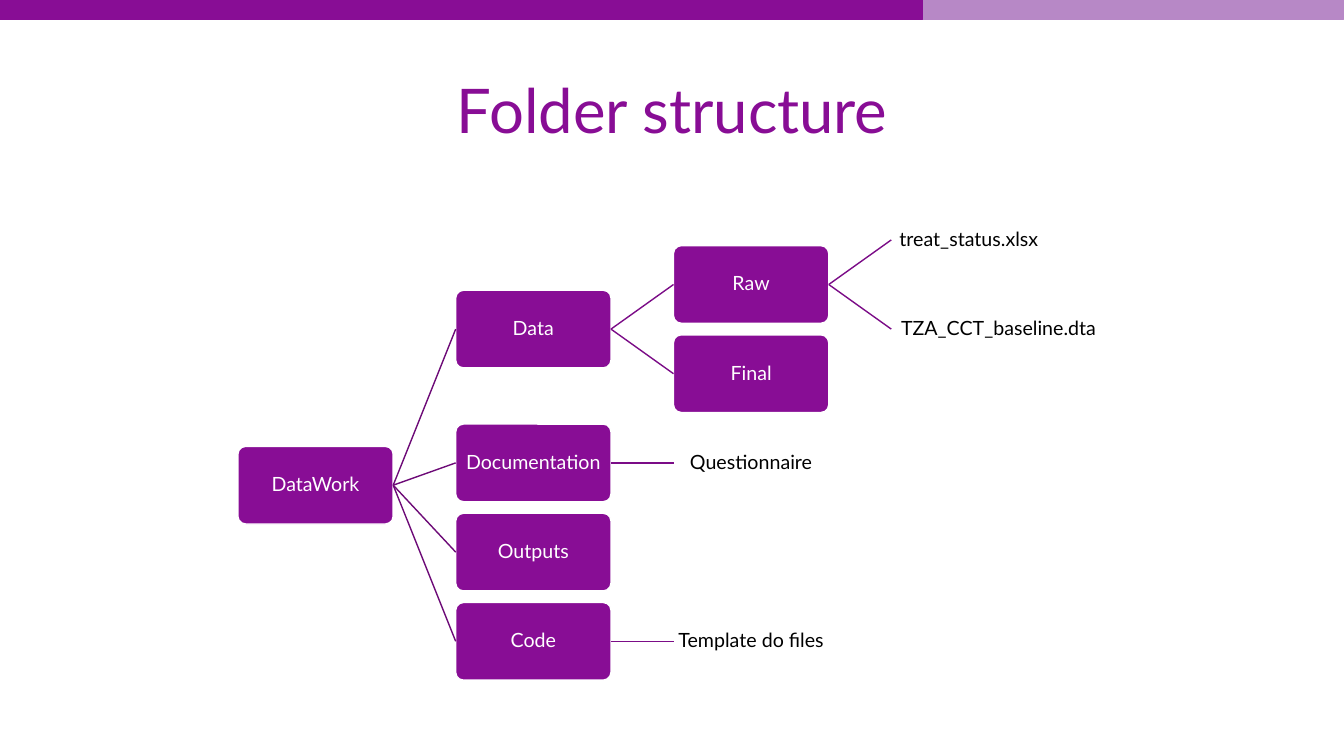
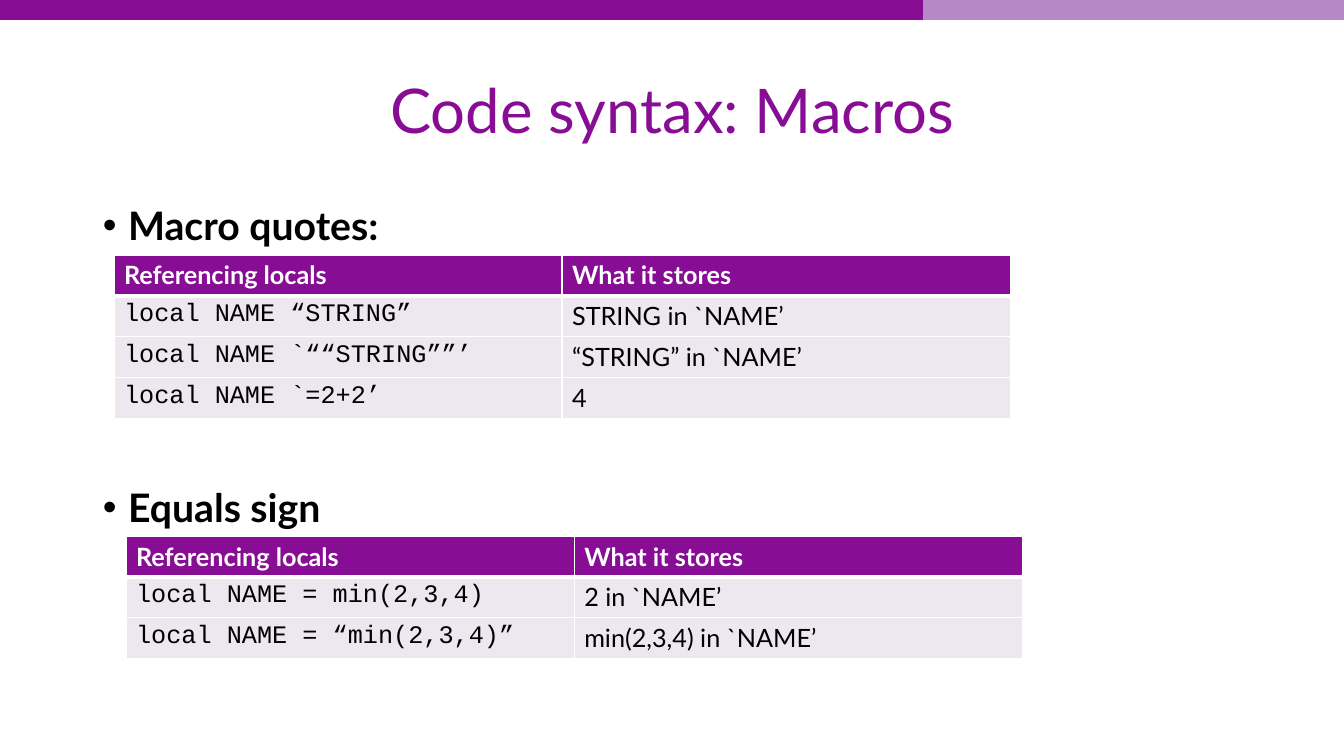
"""Build two slides: a folder tree and a pair of macro syntax tables."""
import lxml.etree
import pptx
import pptx.dml.color
import pptx.enum.shapes
import pptx.enum.text
import pptx.oxml.ns
import pptx.util

PX = 9144
COLORS = {
    "purple": "880D95", "lilac": "B788C6", "trunk": "6D0A77", "branch": "7B0C87",
    "row": "EDE7EF", "white": "FFFFFF", "black": "000000",
}
SANS, MONO = "Lato", "Courier New"
BANDS = [(915, 418, "lilac"), (0, 915, "purple")]
TITLE_BOX = (92, 40, 1150, 145)
BODY_BOX = (92, 200, 1150, 476)

TREE_TITLE = "Folder structure"
TREE_LEFT, TREE_TOP, COLUMN_STEP, ROW_STEP = 236, 238, 216, 44.25
NODE_W, NODE_H, WIDE_W = 154, 77, 213
FOLDERS = [
    ("DataWork", None, 0, 5.5),
    ("Data", "DataWork", 1, 2),
    ("Raw", "Data", 2, 1),
    ("Final", "Data", 2, 3),
    ("Documentation", "DataWork", 1, 5),
    ("Outputs", "DataWork", 1, 7),
    ("Code", "DataWork", 1, 9),
]
FILES = [
    ("treat_status.xlsx", "Raw", 3, 0, NODE_W),
    ("TZA_CCT_baseline.dta", "Raw", 3, 2, WIDE_W),
    ("Questionnaire", "Documentation", 2, 5, NODE_W),
    ("Template do files", "Code", 2, 9, NODE_W),
]

MACRO_TITLE = "Code syntax: Macros"
BULLETS = [("Macro quotes:", 0), ("Equals sign", 171)]
HEADER = ("Referencing locals", "What it stores")
TABLES = [
    ((113, 253, 889, 162), [
        ("local NAME “STRING”", "STRING in `NAME’"),
        ("local NAME `““STRING””’", "“STRING” in `NAME’"),
        ("local NAME `=2+2’", "4"),
    ]),
    ((125, 532, 889, 121), [
        ("local NAME = min(2,3,4)", "2 in `NAME’"),
        ("local NAME = “min(2,3,4)”", "min(2,3,4) in `NAME’"),
    ]),
]


def px(*values):
    return [pptx.util.Emu(round(v * PX)) for v in values]


def rgb(name):
    return pptx.dml.color.RGBColor.from_string(COLORS[name])


def sub(parent, tag, **attrs):
    return lxml.etree.SubElement(parent, pptx.oxml.ns.qn(tag), attrs)


def style(p, size, color, name=SANS, bold=False):
    p.font.size = pptx.util.Pt(size)
    p.font.name = name
    p.font.bold = bold
    p.font.color.rgb = rgb(color)


def place(sp, box):
    sp.left, sp.top, sp.width, sp.height = px(*box)
    sp.text_frame.auto_size = pptx.enum.text.MSO_AUTO_SIZE.NONE


def paint(sp, fill, line, width):
    sp.shadow.inherit = False
    sp.fill.solid()
    sp.fill.fore_color.rgb = rgb(fill)
    sp.line.color.rgb = rgb(line)
    sp.line.width = pptx.util.Pt(width)


def add_slide(prs, layout, title):
    s = prs.slides.add_slide(prs.slide_layouts[layout])
    for left, width, color in BANDS:
        sp = s.shapes.add_shape(pptx.enum.shapes.MSO_SHAPE.RECTANGLE, *px(left, -1, width, 20))
        paint(sp, color, color, 0.75)
    place(s.shapes.title, TITLE_BOX)
    tf = s.shapes.title.text_frame
    tf.text = title
    tf.vertical_anchor = pptx.enum.text.MSO_ANCHOR.MIDDLE
    p = tf.paragraphs[0]
    p.alignment = pptx.enum.text.PP_ALIGN.CENTER
    p.line_spacing = 0.9
    style(p, 44, "purple")
    return s


def label(sp, text, color):
    tf = sp.text_frame
    tf.word_wrap = True
    tf.vertical_anchor = pptx.enum.text.MSO_ANCHOR.MIDDLE
    tf.margin_left, tf.margin_top, tf.margin_right, tf.margin_bottom = px(1, 1, 1, 1)
    tf.text = text
    p = tf.paragraphs[0]
    p.alignment = pptx.enum.text.PP_ALIGN.CENTER
    p.line_spacing = 0.9
    style(p, 14, color)


def node_box(column, row, width=NODE_W):
    middle = TREE_TOP + row * ROW_STEP
    return px(TREE_LEFT + column * COLUMN_STEP, middle - NODE_H / 2, width, NODE_H)


def join(s, parent, child, color):
    cx = s.shapes.add_connector(pptx.enum.shapes.MSO_CONNECTOR.STRAIGHT, 0, 0, 0, 0)
    cx.begin_connect(parent, 3)
    cx.end_connect(child, 1)
    cx.line.color.rgb = rgb(color)
    cx.line.width = pptx.util.Pt(1)
    sub(cx._element.spPr, "a:effectLst")


def add_tree(s):
    nodes = {}
    for name, parent, column, row in FOLDERS:
        sp = s.shapes.add_shape(pptx.enum.shapes.MSO_SHAPE.ROUNDED_RECTANGLE, *node_box(column, row))
        sp.adjustments[0] = 0.1
        paint(sp, "purple", "white", 1)
        label(sp, name, "white")
        nodes[name] = sp
        if parent:
            join(s, nodes[parent], sp, "trunk" if column == 1 else "branch")
    for name, parent, column, row, width in FILES:
        sp = s.shapes.add_textbox(*node_box(column, row, width))
        label(sp, name, "black")
        join(s, nodes[parent], sp, "branch")


def add_bullets(s):
    body = s.placeholders[1]
    place(body, BODY_BOX)
    tf = body.text_frame
    tf.text = "\n".join(text for text, gap in BULLETS)
    for p, (text, gap) in zip(tf.paragraphs, BULLETS):
        pPr = p._p.get_or_add_pPr()
        pPr.set("marL", str(25 * PX))
        pPr.set("indent", str(-25 * PX))
        sub(pPr, "a:buFont", typeface="Arial")
        sub(pPr, "a:buChar", char="•")
        p.line_spacing = 0.9
        p.space_before = pptx.util.Pt(gap)
        style(p, 28, "black", bold=True)


def add_borders(cell, row):
    tcPr = cell._tc.get_or_add_tcPr()
    widths = {"L": 1, "R": 1, "T": 3 if row == 1 else 1, "B": 3 if row == 0 else 1}
    for side, width in widths.items():
        ln = sub(tcPr, f"a:ln{side}", w=str(pptx.util.Pt(width)))
        sub(sub(ln, "a:solidFill"), "a:srgbClr", val=COLORS["white"])


def add_macro_table(s, box, rows):
    rows = [HEADER] + rows
    table = s.shapes.add_table(len(rows), len(HEADER), *px(*box)).table
    table.horz_banding = False
    for i, row in enumerate(rows):
        head = i == 0
        for j, text in enumerate(row):
            cell = table.cell(i, j)
            add_borders(cell, i)
            cell.fill.solid()
            cell.fill.fore_color.rgb = rgb("purple" if head else "row")
            cell.text = text
            name = SANS if head or j else MONO
            style(cell.text_frame.paragraphs[0], 18, "white" if head else "black", name, head)


def main():
    prs = pptx.Presentation()
    prs.slide_width, prs.slide_height = px(1333, 750)
    add_tree(add_slide(prs, 5, TREE_TITLE))
    s = add_slide(prs, 1, MACRO_TITLE)
    add_bullets(s)
    for box, rows in TABLES:
        add_macro_table(s, box, rows)
    prs.save("out.pptx")


if __name__ == "__main__":
    main()
